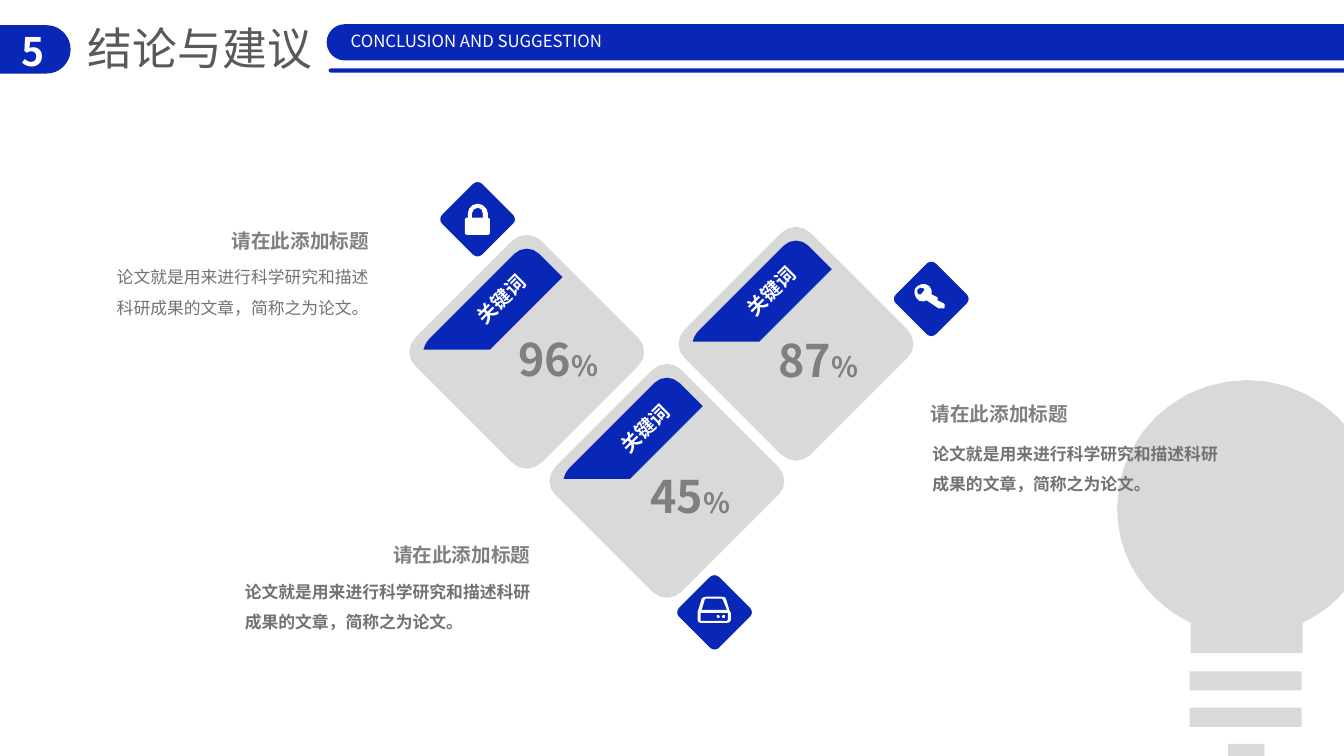
"""Build the conclusion slide with three percentage diamonds and a light bulb."""
import math

from lxml import etree
from pptx import Presentation
from pptx.dml.color import RGBColor
from pptx.enum.shapes import MSO_SHAPE
from pptx.enum.text import MSO_ANCHOR, MSO_AUTO_SIZE, PP_ALIGN
from pptx.oxml.ns import qn
from pptx.util import Pt

RECTANGLE = MSO_SHAPE.RECTANGLE
ROUNDED = MSO_SHAPE.ROUNDED_RECTANGLE
LEFT, CENTER = PP_ALIGN.LEFT, PP_ALIGN.CENTER
TOP = MSO_ANCHOR.TOP
NO_FIT = MSO_AUTO_SIZE.NONE

FONT = "Noto Sans CJK SC"
COLORS = {
    "blue": "0927B6",
    "light": "D9D9D9",
    "white": "FFFFFF",
    "title": "595959",
    "heading": "7F7F7F",
    "body": "767171",
}

COLUMNS, ROWS, CELL = 1333, 750, 9144
MOST_STEPS = 10

DIAMOND_SIZE, BADGE_SIZE = 236, 75
DIAMOND = (
    "133 228 | 125 236 112 236 104 228 | 8 132 | 0 125 0 112 8 104 | 104 8"
    " | 112 0 125 0 133 8 | 229 104 | 237 112 237 125 229 132"
)
TAG = "115 7 | 108 0 97 0 90 7 | 6 91 | 3 94 1 98 0 102 | 66 102 | 138 30"
BULB = (
    "257 127 | 257 57 199 0 129 0 | 58 0 0 57 0 127 | 0 178 30 220 73 241"
    " | 73 271 | 184 271 | 184 241 | 227 220 257 178 257 127"
)
LOCK = (
    "25 29 | 25 30 24 31 23 31 | 2 31 | 1 31 0 30 0 29 | 0 16 | 0 15 1 14 2 14"
    " | 3 14 | 3 10 | 3 5 7 0 13 0 | 18 0 23 5 23 10 | 23 14 | 24 14 25 15 25 16"
    " / 18 14 | 18 10 | 18 7 16 4 13 4 | 10 4 7 7 7 10 | 7 14"
)
KEY = (
    "9 8 | 11 9 10 10 8 12 | 7 14 6 15 4 14 | 3 13 2 11 3 9 | 5 7 7 7 9 8"
    " / 7 4 | 2 5 -1 9 0 13 | 1 18 4 22 9 21 | 10 21 11 20 12 20 | 24 28"
    " | 26 28 | 29 28 | 30 27 | 30 24 | 29 23 | 23 20 | 23 17 | 17 14 | 17 10"
    " | 16 5 11 3 7 4"
)
DRIVE = (
    "33 23 | 33 25 31 26 29 26 | 3 26 | 1 26 0 25 0 23 | 0 16 | 0 15 | 4 2"
    " | 5 1 6 0 8 0 | 24 0 | 26 0 28 1 28 2 | 32 15 | 33 16"
    " / 30 16 | 29 16 | 3 16 | 3 23 | 3 24 | 29 24 | 30 23"
    " / 29 13 | 25 3 | 24 2 | 8 2 | 7 3 | 4 13"
    " / 20 21 | 19 21 19 21 19 20 | 19 19 19 18 20 18 | 21 18 22 19 22 20"
    " | 22 21 21 21 20 21"
    " / 26 21 | 25 21 24 21 24 20 | 24 19 25 18 26 18 | 27 18 27 19 27 20"
    " | 27 21 27 21 26 21"
)

HEADING = "请在此添加标题"
BODY = "论文就是用来进行科学研究和描述科研成果的文章，简称之为论文。"
DIAMONDS = [
    (404, 231, 458, (504, 324), "96"),
    (543, 359, 601, (635, 460), "45"),
    (671, 223, 726, (762, 325), "87"),
]
BADGES = [
    (436, 180, LOCK, 461, 202),
    (886, 259, KEY, 907, 278),
    (671, 570, DRIVE, 692, 592),
]
CAPTIONS = [
    ((220, 222), (106, 250, 280, 71), False),
    ((380, 534), (233, 562, 313, 67), True),
    ((913, 394), (915, 425, 313, 67), True),
]


def write(paragraph, text, size=12, color="body", bold=False, align=LEFT, spacing=1.0):
    """Add one formatted span to a paragraph."""
    paragraph.alignment = align
    paragraph.line_spacing = spacing
    span = paragraph.add_run()
    span.text = text
    span.font.size = Pt(size)
    span.font.bold = bold
    span.font.color.rgb = RGBColor.from_string(COLORS[color])
    span.font.name = FONT
    properties = span.font._element
    etree.SubElement(properties, qn("a:ea")).set("typeface", FONT)


def trace(contour):
    """Return the points of a contour, with finer steps on longer curves."""
    points = []
    for step in contour.split("|"):
        numbers = [float(number) for number in step.split()]
        pairs = list(zip(numbers[::2], numbers[1::2]))
        if len(pairs) == 1:
            points += pairs
            continue
        controls = [points[-1], *pairs]
        count = min(MOST_STEPS, 1 + math.ceil(math.dist(controls[0], controls[3]) / 10))
        for index in range(1, count + 1):
            t = index / count
            weights = ((1 - t) ** 3, 3 * t * (1 - t) ** 2, 3 * t**2 * (1 - t), t**3)
            points.append(tuple(
                sum(weight * point[axis] for weight, point in zip(weights, controls))
                for axis in (0, 1)
            ))
    return points


class Sheet:
    """Draw styled elements on one slide, measured in grid cells."""

    def __init__(self, deck):
        deck.slide_width, deck.slide_height = COLUMNS * CELL, ROWS * CELL
        self.page = deck.slides.add_slide(deck.slide_layouts[5])
        self.shapes = self.page.shapes

    def paint(self, shape, color):
        shape.shadow.inherit = False
        shape.fill.solid()
        shape.fill.fore_color.rgb = RGBColor.from_string(COLORS[color])
        shape.line.fill.background()

    def bar(self, kind, area, color):
        shape = self.shapes.add_shape(kind, *(cells * CELL for cells in area))
        if kind == ROUNDED:
            shape.adjustments[0] = 0.5
        self.paint(shape, color)

    def outline(self, path, left, top, color, scale=1.0):
        builder = None
        for contour in path.split("/"):
            points = [
                (round((left + x * scale) * CELL), round((top + y * scale) * CELL))
                for x, y in trace(contour)
            ]
            if builder is None:
                builder = self.shapes.build_freeform(*points[0], scale=1.0)
            else:
                builder.move_to(*points[0])
            builder.add_line_segments(points[1:], close=True)
        self.paint(builder.convert_to_shape(), color)

    def frame(self, box, wrap):
        box.text_frame.word_wrap = wrap
        box.text_frame.auto_size = NO_FIT
        box.text_frame.vertical_anchor = TOP
        return box.text_frame.paragraphs[0]

    def text(self, text, area, wrap=False, rotation=0, **style):
        box = self.shapes.add_textbox(*(cells * CELL for cells in area))
        box.rotation = rotation
        paragraph = self.frame(box, wrap)
        write(paragraph, text, **style)
        return paragraph

    def title(self, text, area, **style):
        box = self.shapes.title
        box.left, box.top, box.width, box.height = (cells * CELL for cells in area)
        write(self.frame(box, False), text, **style)


def main():
    deck = Presentation()
    sheet = Sheet(deck)

    sheet.bar(RECTANGLE, (1218, 738, 36, 19), "light")
    for top in (666, 702):
        sheet.bar(RECTANGLE, (1180, top, 111, 19), "light")
    sheet.outline(BULB, 1108, 377, "light")

    sheet.bar(ROUNDED, (-28, 25, 98, 48), "blue")
    sheet.text("5", (7, 22, 51, 57), wrap=True, size=28, color="white", bold=True, align=CENTER)
    sheet.title("结论与建议", (77, 16, 245, 64), size=32, color="title")
    for area in ((324, 24, 1103, 36), (326, 68, 1103, 4)):
        sheet.bar(ROUNDED, area, "blue")
    sheet.text("CONCLUSION AND SUGGESTION", (328, 26, 289, 30), color="white", align=CENTER)

    for left, top, label_left, value_at, value in DIAMONDS:
        sheet.outline(DIAMOND, left, top, "light")
        sheet.outline(TAG, left + 16, top + 14, "blue")
        sheet.text("关键词", (label_left, top + 49, 79, 34), rotation=315.2,
                   size=14, color="white", bold=True)
        paragraph = sheet.text(value, (*value_at, 102, 64), size=32, color="heading", bold=True)
        write(paragraph, "%", size=20, color="heading", bold=True)

    for left, top, icon, icon_left, icon_top in BADGES:
        sheet.outline(DIAMOND, left, top, "blue", scale=BADGE_SIZE / DIAMOND_SIZE)
        sheet.outline(icon, icon_left, icon_top, "white")

    for heading_at, body_area, bold in CAPTIONS:
        sheet.text(HEADING, (*heading_at, 158, 34), size=14, color="heading", bold=True)
        sheet.text(BODY, body_area, wrap=True, bold=bold, spacing=1.5)

    deck.save("out.pptx")


if __name__ == "__main__":
    main()
